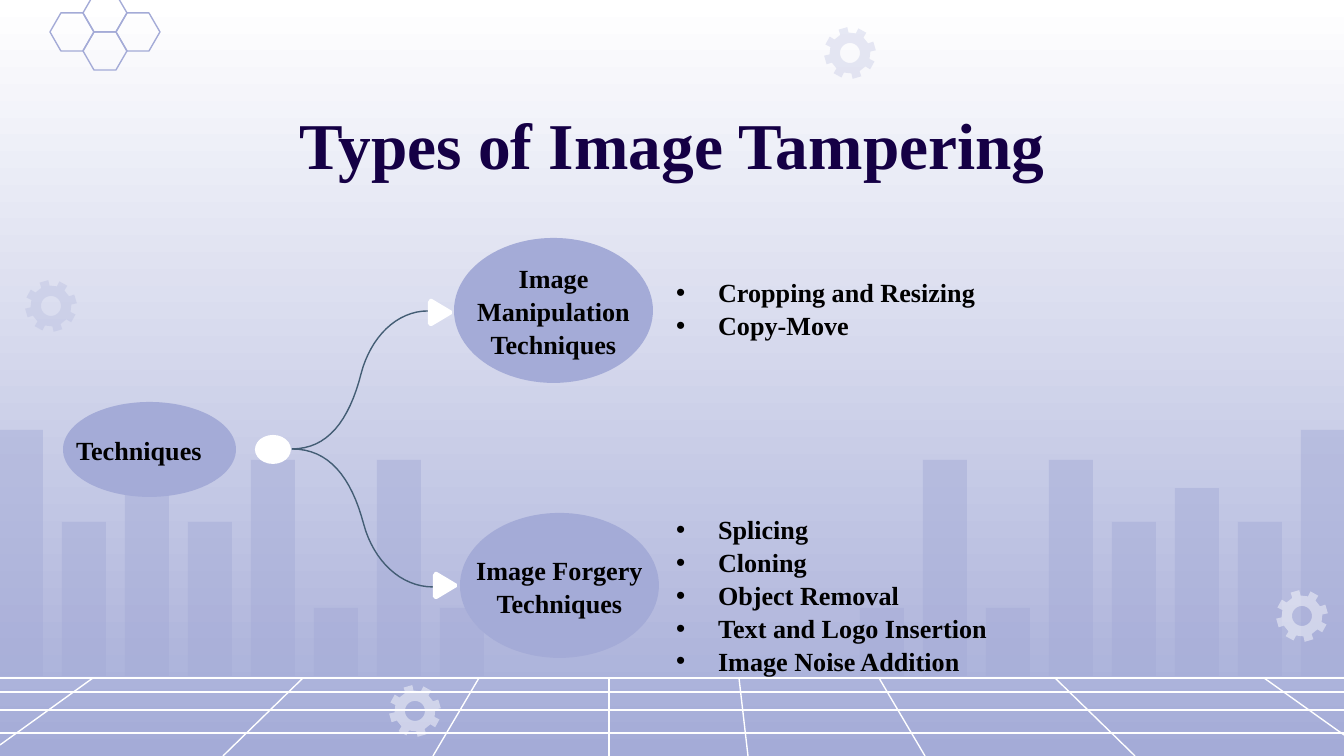
import math

import pptx
import pptx.dml.color
import pptx.enum.shapes
import pptx.enum.text
import pptx.util
from lxml import etree
from pptx.oxml.ns import qn

PX = 914400 / 134.4
FONT = "Times New Roman"
LILAC, WHITE, NAVY, SLATE, BLACK = "A4ABD7", "FFFFFF", "150045", "435D74", "000000"


def px(n):
    return pptx.util.Emu(round(n * PX))


def rgb(code):
    return pptx.dml.color.RGBColor.from_string(code)


def paint(shape, fill=None, alpha=100, line=None):
    shape.shadow.inherit = False
    if fill:
        shape.fill.solid()
        shape.fill.fore_color.rgb = rgb(fill)
        if alpha < 100:
            tint = shape.fill._xPr.find(".//" + qn("a:srgbClr"))
            etree.SubElement(tint, qn("a:alpha"), val=str(alpha * 1000))
    else:
        shape.fill.background()
    if line:
        shape.line.color.rgb = rgb(line)
        shape.line.width = pptx.util.Pt(0.75)
    else:
        shape.line.fill.background()
    return shape


def ring(cx, cy, rx, ry, count):
    turns = [2 * math.pi * i / count for i in range(count)]
    return [(cx + rx * math.cos(t), cy + ry * math.sin(t)) for t in turns]


def outline(slide, *loops, close=True):
    build = None
    for loop in loops:
        (x, y), *rest = [(px(a), px(b)) for a, b in loop]
        if build is None:
            build = slide.shapes.build_freeform(x, y)
        else:
            build.move_to(x, y)
        build.add_line_segments(rest, close=close)
    return build.convert_to_shape()


def style(par, size, color, align, space):
    par.font.name, par.font.size, par.font.bold = FONT, pptx.util.Pt(size), True
    par.font.color.rgb = rgb(color)
    par.alignment = align
    par.line_spacing = space
    par.space_before = par.space_after = pptx.util.Pt(0)


def frame(shape, side, edge, anchor):
    text = shape.text_frame
    text.word_wrap = True
    text.auto_size = pptx.enum.text.MSO_AUTO_SIZE.NONE
    text.margin_left = text.margin_right = px(side)
    text.margin_top = text.margin_bottom = px(edge)
    text.vertical_anchor = anchor
    return text


def place(shape, x, y, w, h):
    shape.left, shape.top, shape.width, shape.height = px(x), px(y), px(w), px(h)
    # Bring to the front
    shape._element.getparent().append(shape._element)


def skyline(slide, x, base, width):
    tops = [430, 522, 488, 522, 460, 608, 460, 608]
    for i, top in enumerate(tops):
        left = 63 * i - 1
        for side in (left, width - left - 44):
            bar = slide.shapes.add_shape(
                pptx.enum.shapes.MSO_SHAPE.RECTANGLE,
                px(x + side), px(top), px(44), px(base - top))
            paint(bar, LILAC, 47)


def floor(slide, x, y, w, h):
    rows = [(0, r, w, r) for r in (0, 14, 32, 55)]
    cols = [(0, 67, 93, 0), (223, h, 303, 0), (433, h, 479, 0), (609, h, 609, 0),
            (748, h, 739, 0), (925, h, 879, 0), (1135, h, 1055, 0), (w, 57, 1264, 0)]
    for a, b, c, d in rows + cols:
        line = slide.shapes.add_connector(
            pptx.enum.shapes.MSO_CONNECTOR.STRAIGHT,
            px(x + a), px(y + b), px(x + c), px(y + d))
        line.line.color.rgb = rgb(WHITE)
        line.line.width = pptx.util.Pt(0.75)
        etree.SubElement(line._element.spPr, qn("a:effectLst"))


def gear(slide, cx, cy, color, alpha):
    teeth = []
    for i in range(8):
        for turn, r in ((-12, 20.5), (-10, 26), (10, 26), (12, 20.5)):
            t = math.radians(45 * i + 29 + turn)
            teeth.append((cx + r * math.cos(t), cy + r * math.sin(t)))
    paint(outline(slide, teeth, ring(cx, cy, 10, 10, 32)), color, alpha)


def comb(slide, x, y):
    for dx, dy in ((22, 19), (88, 19), (55, 0), (55, 38)):
        paint(outline(slide, ring(x + dx, y + dy, 22, 22, 6)), line=LILAC)


def curve(a, b, c, d, steps=16):
    for i in range(steps + 1):
        t = i / steps
        s = 1 - t
        yield tuple(s**3 * p + 3 * s * s * t * q + 3 * s * t * t * u + t**3 * v
                    for p, q, u, v in zip(a, b, c, d))


def branch(slide, x, y, w, h, drop):
    # S-curve from the hub to the arrow
    knee = (0.51, 0.55)
    unit = [*curve((0, 0), (0.26, 0), (0.42, 0.2), knee),
            *curve(knee, (0.58, 0.81), (0.77, 1), (1, 1))]
    path = [(x + w * a, y + h * b) for a, b in unit]
    paint(outline(slide, path, close=False), line=SLATE)
    # Arrow with cut corners
    tip = [(0, 3), (2, 0), (4, 0), (24, 12), (24, 15), (4, 27), (2, 27), (0, 25)]
    left, top = x + w, y + h + drop
    paint(outline(slide, [(left + a, top + b) for a, b in tip]), WHITE)


def node(slide, x, y, w, h, label, align):
    oval = ring(x + w / 2, y + h / 2, w / 2, h / 2, 96)
    shape = paint(outline(slide, oval), LILAC)
    text = frame(shape, 13, 13, pptx.enum.text.MSO_ANCHOR.MIDDLE)
    text.text = label
    style(text.paragraphs[0], 14, BLACK, align, 1.05)


def points(holder, x, y, w, h, items):
    place(holder, x, y, w, h)
    text = frame(holder, 13, 7, pptx.enum.text.MSO_ANCHOR.TOP)
    text.text = "\n".join(items)
    for par in text.paragraphs:
        style(par, 14, BLACK, pptx.enum.text.PP_ALIGN.LEFT, 1.05)
        props = par._p.get_or_add_pPr()
        props.set("marL", str(px(42)))
        props.set("indent", str(-px(42)))
        tint = etree.SubElement(props, qn("a:buClr"))
        etree.SubElement(tint, qn("a:srgbClr"), val=BLACK)
        etree.SubElement(props, qn("a:buFont"), typeface="Arial")
        etree.SubElement(props, qn("a:buChar"), char="•")


def heading(holder, x, y, w, h, words):
    place(holder, x, y, w, h)
    text = frame(holder, 13, 13, pptx.enum.text.MSO_ANCHOR.TOP)
    text.text = words
    style(text.paragraphs[0], 35, NAVY, pptx.enum.text.PP_ALIGN.CENTER, 1.15)


def main():
    deck = pptx.Presentation()
    deck.slide_width, deck.slide_height = px(1344), px(756)
    slide = deck.slides.add_slide(deck.slide_layouts[3])
    title, upper, lower = slide.placeholders

    # Backdrop
    back = slide.background.fill
    back.gradient()
    back.gradient_angle = 270
    for stop, color, at in zip(back.gradient_stops, (WHITE, LILAC), (0, 1)):
        stop.color.rgb, stop.position = rgb(color), at
    skyline(slide, 0, 676, 1344)
    floor(slide, 0, 678, 1344, 78)
    for cx, cy, color, alpha in ((51, 306, LILAC, 25), (1302, 616, WHITE, 45),
                                 (415, 711, WHITE, 45), (850, 53, LILAC, 25)):
        gear(slide, cx, cy, color, alpha)
    comb(slide, 50, 13)

    # Title
    heading(title, 106, 79, 1133, 85, "Types of Image Tampering")

    # Tree of techniques
    align = pptx.enum.text.PP_ALIGN
    node(slide, 63, 402, 173, 95, "Techniques", align.LEFT)
    branch(slide, 292, 449, 136, -138, -12)
    branch(slide, 292, 449, 141, 138, -15)
    hub = slide.shapes.add_shape(pptx.enum.shapes.MSO_SHAPE.OVAL,
                                 px(255), px(435), px(36), px(29))
    paint(hub, WHITE)
    node(slide, 454, 238, 199, 145, "Image Manipulation Techniques", align.CENTER)
    node(slide, 460, 513, 199, 145, "Image Forgery Techniques", align.CENTER)

    # Lists
    points(lower, 663, 505, 521, 172, ["Splicing", "Cloning", "Object Removal",
                                       "Text and Logo Insertion", "Image Noise Addition"])
    points(upper, 663, 268, 521, 77, ["Cropping and Resizing", "Copy-Move"])
    deck.save("out.pptx")


if __name__ == "__main__":
    main()
